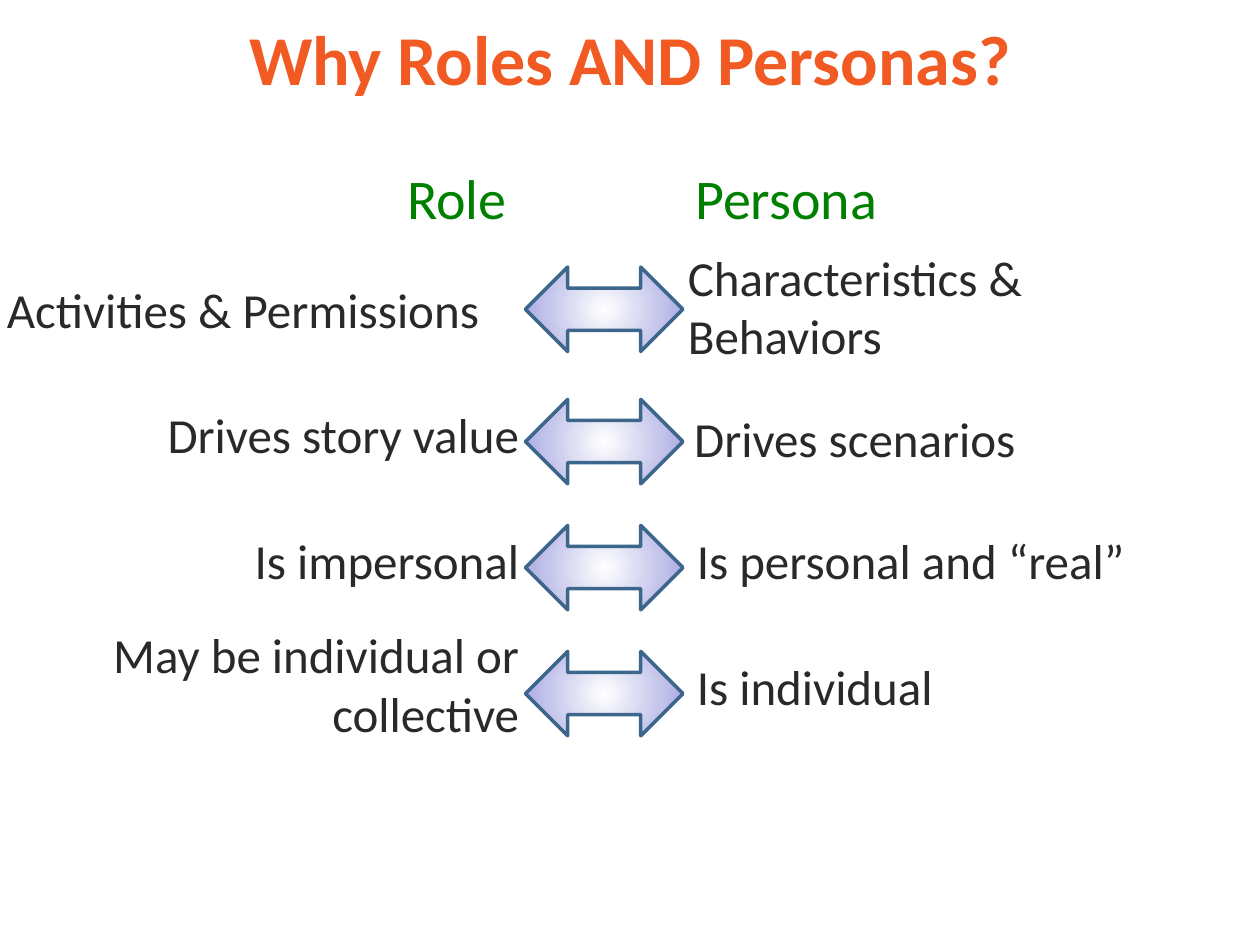
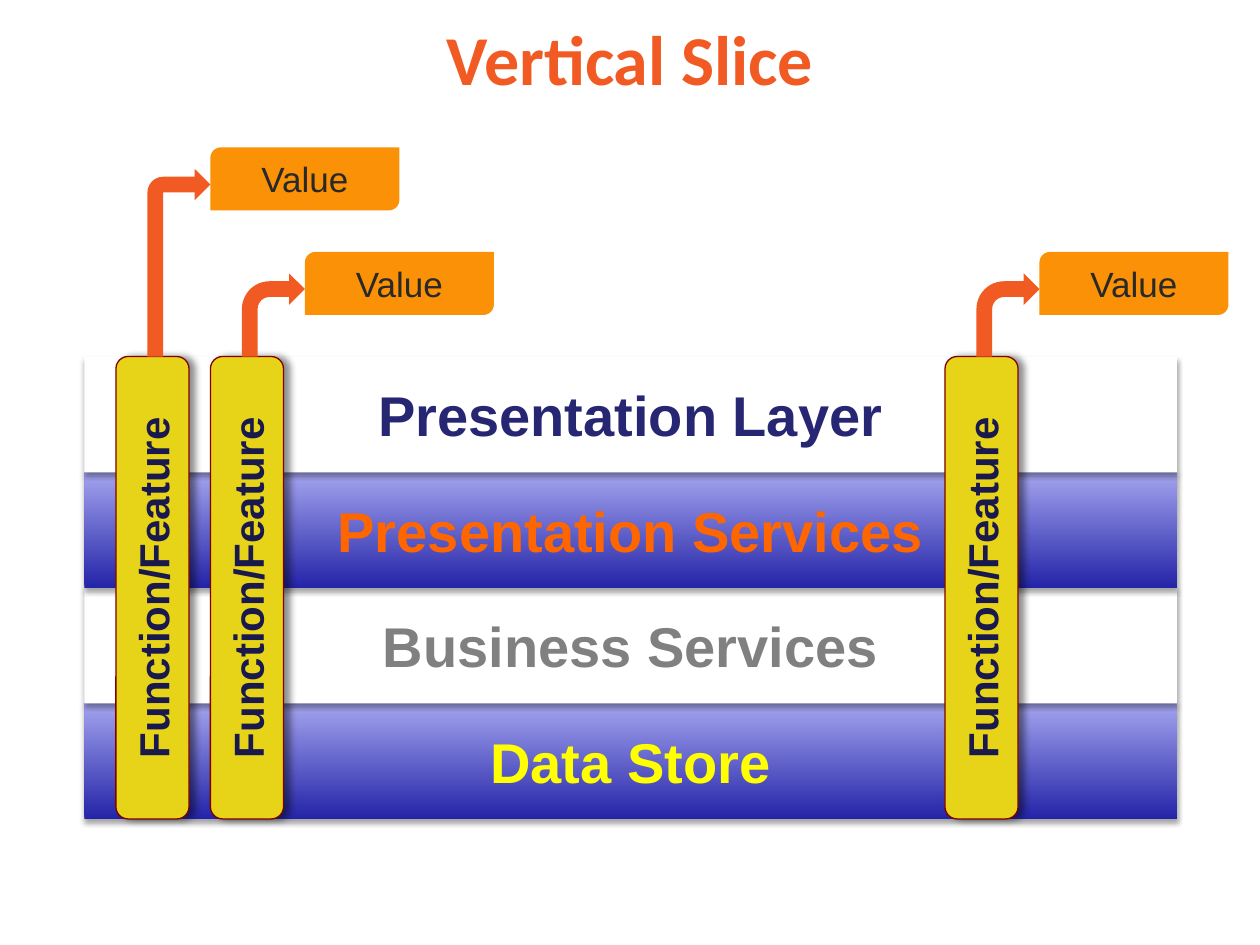
from lxml import etree
from pptx import Presentation
from pptx.dml.color import RGBColor
from pptx.enum import shapes, text
from pptx.oxml import ns
from pptx.util import Inches, Pt

HUES = {
    "white": "FFFFFF", "flame": "F15A22", "ink": "292929", "green": "008000",
    "lilac": "A3A3E0", "steel": "3D668C", "deep": "2424A8", "pale": "A4A4EF",
    "lemon": "FFFF00", "gray": "808080", "orange": "FF6600", "navy": "262673",
    "gold": "E7D418", "maroon": "800000", "night": "19194D", "amber": "FA9106",
    "black": "000000",
}
KIND = shapes.MSO_SHAPE
ALIGN = text.PP_ALIGN
MID = text.MSO_ANCHOR.MIDDLE
TOP = text.MSO_ANCHOR.TOP

TITLE = {"name": "Calibri", "size": Pt(40), "bold": True}
HEAD = {"name": "Calibri", "size": Pt(32)}
BODY = {"name": "Calibri", "size": Pt(28)}
LAYER = {"name": "Arial", "size": Pt(32), "bold": True}
SLICE = {"name": "Arial", "size": Pt(24), "bold": True}
VALUE = {"name": "Arial", "size": Pt(20)}


def rgb(hue):
    return RGBColor.from_string(HUES[hue])


def apply(item, form):
    for key, val in form.items():
        setattr(item, key, val)


def add(parent, tag, **attrs):
    node = etree.SubElement(parent, ns.qn(tag))
    for key, val in attrs.items():
        node.set(key, str(val))
    return node


def tint(parent, hue, alpha=None):
    node = add(parent, "a:srgbClr", val=HUES[hue])
    if alpha:
        add(node, "a:alpha", val=alpha * 1000)


def shade(list_, alpha, blur, dist, angle):
    cast = add(list_, "a:outerShdw", blurRad=Pt(blur), dist=Pt(dist),
               dir=angle * 60000, algn="ctr", rotWithShape=0)
    tint(cast, "black", alpha)


def blend(shape, hues, angle=None):
    props = shape._element.spPr
    grad = etree.Element(ns.qn("a:gradFill"), rotWithShape="1")
    stops = add(grad, "a:gsLst")
    for pos, hue in zip((0, 100000), hues):
        tint(add(stops, "a:gs", pos=pos), hue)
    if angle is None:
        path = add(grad, "a:path", path="circle")
        add(path, "a:fillToRect", l=50000, t=50000, r=50000, b=50000)
    else:
        add(grad, "a:lin", ang=angle * 60000, scaled=1)
    props.find(ns.qn("a:prstGeom")).addnext(grad)


def write(shape, words, font, hue, align=ALIGN.CENTER, anchor=MID, inset=None, wrap=True):
    frame = shape.text_frame
    apply(frame, {"word_wrap": wrap, "vertical_anchor": anchor})
    if inset is not None:
        sides = ("margin_left", "margin_top", "margin_right", "margin_bottom")
        apply(frame, dict.fromkeys(sides, Inches(inset)))
    para = frame.paragraphs[0]
    para.alignment = align
    run = para.add_run()
    run.text = words
    apply(run.font, font)
    run.font.color.rgb = rgb(hue)
    return run


def box(slide, area, words, font, hue, **form):
    shape = slide.shapes.add_textbox(*map(Inches, area))
    return write(shape, words, font, hue, **form)


def draw(slide, kind, area, fill=None, line=None, width=1):
    shape = slide.shapes.add_shape(kind, *map(Inches, area))
    shape.shadow.inherit = False
    if fill:
        shape.fill.solid()
        shape.fill.fore_color.rgb = rgb(fill)
    if line:
        shape.line.color.rgb = rgb(line)
        shape.line.width = Pt(width)
    else:
        shape.line.fill.background()
    return shape


def cast(shape, *form):
    shade(shape._element.spPr.find(ns.qn("a:effectLst")), *form)


def title(slide, words):
    box(slide, (0.4, 0, 9.2, 0.92), words, TITLE, "flame", inset=0.03)


def head(slide, left, width, words, align):
    run = box(slide, (left, 1.25, width, 0.64), words, HEAD, "green",
              align=align, anchor=TOP, wrap=False)
    glow = etree.Element(ns.qn("a:effectLst"))
    shade(glow, 43, 3, 3, 45)
    run.font._element.find(ns.qn("a:solidFill")).addnext(glow)


def swap(slide, top):
    shape = draw(slide, KIND.LEFT_RIGHT_ARROW, (4.17, top, 1.25, 0.67),
                 line="steel", width=2)
    blend(shape, ("white", "lilac"))


def layer(slide, top, words, hue, dark):
    area = (0.67, top, 8.67, 0.92)
    shape = draw(slide, KIND.RECTANGLE, area, None if dark else "white")
    if dark:
        blend(shape, ("deep", "pale"), 270)
    cast(shape, 35, 3.1, 1.8, 90)
    write(shape, words, LAYER, hue)


def slice_(slide, left):
    area = (left, 2.83, 0.58, 3.67)
    shape = draw(slide, KIND.ROUNDED_RECTANGLE, area, "gold", "maroon", 0.75)
    cast(shape, 43, 4, 3, 0)
    write(shape, "Function/Feature", SLICE, "night", inset=0.1)
    shape.text_frame._txBody.bodyPr.set("vert", "vert270")


def value(slide, left, top, bend):
    flag = draw(slide, KIND.ROUND_2_DIAG_RECTANGLE, (left + 0.75, top, 1.5, 0.5), "amber")
    write(flag, "Value", VALUE, "ink")
    start = top + 0.17
    arrow = draw(slide, KIND.BENT_ARROW, (left + 0.25, start, 0.5, 2.83 - start), "flame")
    arrow.adjustments[3] = bend


def roles(slide):
    title(slide, "Why Roles AND Personas?")
    head(slide, 3.12, 1, "Role", ALIGN.RIGHT)
    head(slide, 5.42, 1.66, "Persona", ALIGN.LEFT)
    left = (
        (0, 2.19, 1.08, "Activities & Permissions", 0.03),
        (0.33, 3.17, 0.67, "Drives story value", 0.04),
        (0.33, 4.17, 0.67, "Is impersonal", 0.04),
        (0.33, 4.92, 1.17, "May be individual or collective", 0.04),
    )
    right = (
        (5.42, 1.92, 1.08, "Characteristics & Behaviors", 0.04),
        (5.47, 3.2, 0.67, "Drives scenarios", 0.04),
        (5.49, 4.17, 0.67, "Is personal and “real”", 0.04),
        (5.49, 5.17, 0.67, "Is individual", 0.04),
    )
    for rows, width, align in ((left, 3.83, ALIGN.RIGHT), (right, 4.24, ALIGN.LEFT)):
        for x, y, high, words, inset in rows:
            box(slide, (x, y, width, high), words, BODY, "ink",
                align=align, anchor=TOP, inset=inset)
    for top in (2.12, 3.17, 4.17, 5.17):
        swap(slide, top)


def stack(slide):
    layers = (
        ("Presentation Layer", "navy"),
        ("Presentation Services", "orange"),
        ("Business Services", "gray"),
        ("Data Store", "lemon"),
    )
    for row, (words, hue) in reversed(list(enumerate(layers))):
        layer(slide, 2.83 + row * 11 / 12, words, hue, row % 2 == 1)
    slices = ((0.92, 1.17, 0.25), (1.67, 2, 0.44), (7.5, 2, 0.44))
    for left, _, _ in slices:
        slice_(slide, left)
    title(slide, "Vertical Slice")
    for left, top, bend in slices:
        value(slide, left, top, bend)


def main():
    deck = Presentation()
    apply(deck, {"slide_width": Inches(10), "slide_height": Inches(7.5)})
    for build in (roles, stack):
        build(deck.slides.add_slide(deck.slide_layouts[6]))
    deck.save("out.pptx")


if __name__ == "__main__":
    main()
